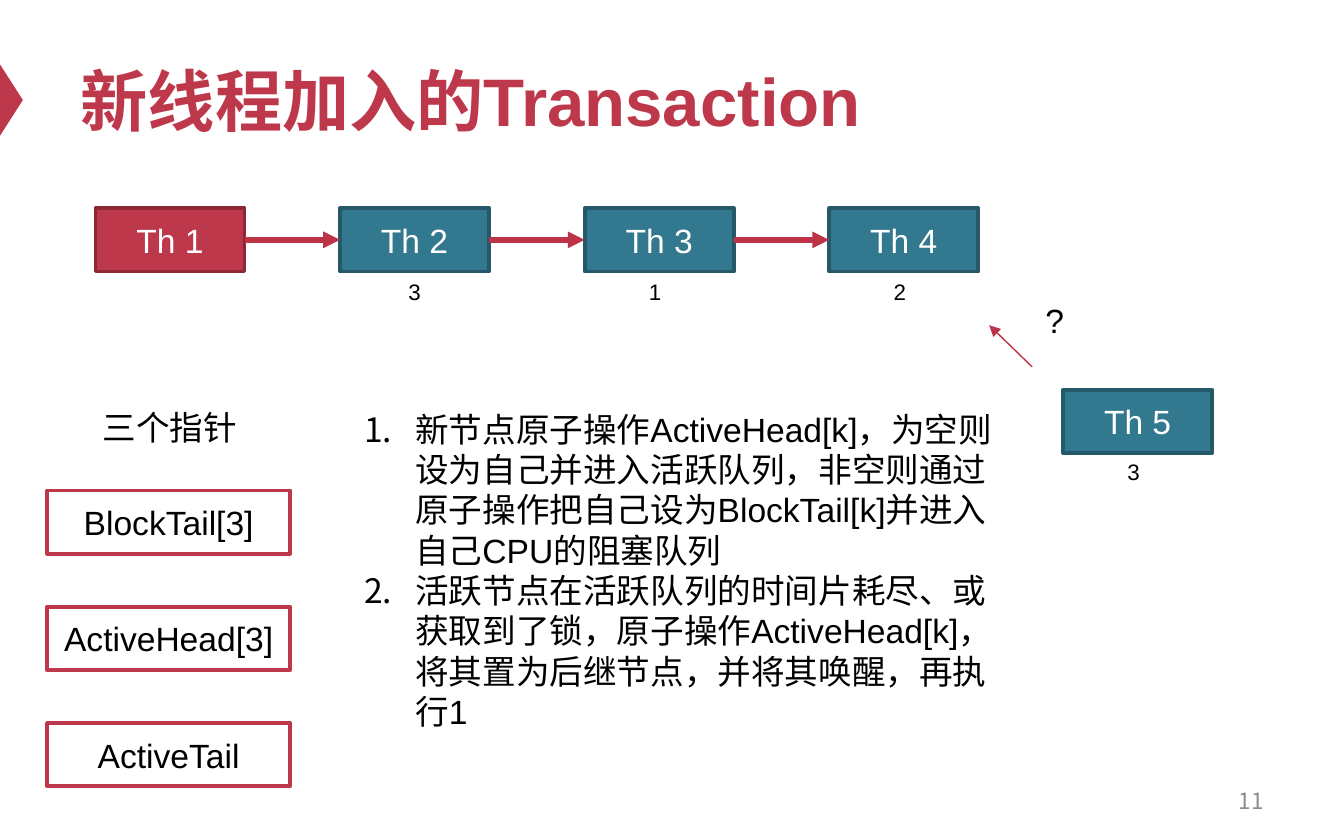
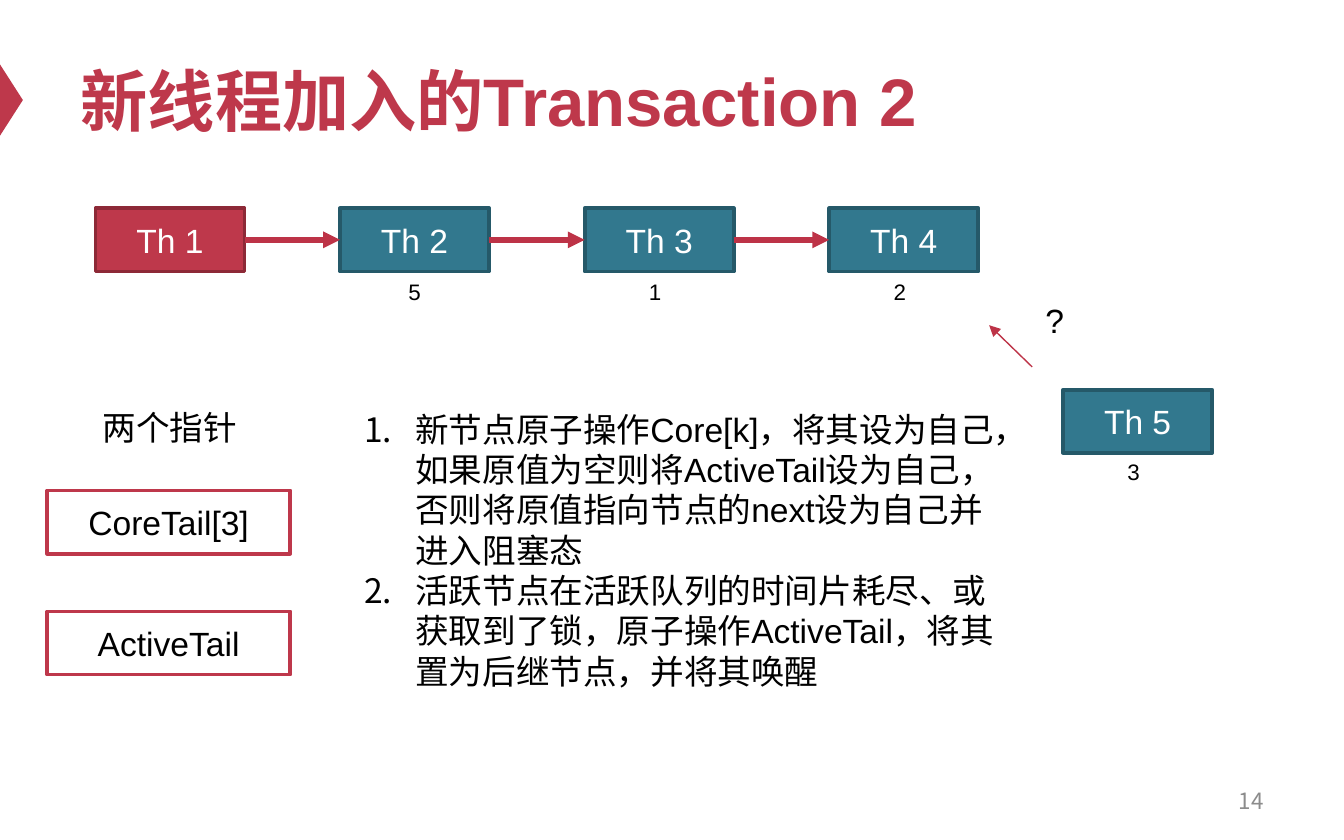
"""Build two slides on how a new thread joins a lock queue."""
from lxml.etree import SubElement
from pptx import Presentation
from pptx.dml.color import RGBColor
from pptx.enum.shapes import MSO_CONNECTOR, MSO_SHAPE
from pptx.enum.text import MSO_ANCHOR as ANCHOR, MSO_AUTO_SIZE as AUTO, PP_ALIGN as ALIGN
from pptx.oxml.ns import qn
from pptx.util import Inches, Pt

RED = RGBColor(0xBE, 0x38, 0x4B)
DARK_RED = RGBColor(0x8D, 0x29, 0x37)
ARROW_RED = RGBColor(0xBD, 0x33, 0x47)
TEAL = RGBColor(0x32, 0x78, 0x8E)
DARK_TEAL = RGBColor(0x25, 0x59, 0x69)
GRAY = RGBColor(0x8C, 0x8C, 0x8C)
WHITE = RGBColor(0xFF, 0xFF, 0xFF)
BLACK = RGBColor(0, 0, 0)
LATIN, CJK = "Arial", "Noto Sans CJK SC"

NODE_W, BOX_H = 1.11, 0.47
NODE_LEFT, NODE_TOP, NODE_STEP = 0.71, 1.55, 1.82
COUNT_LEFTS = (2.73, 4.52, 6.34)
POINTER_LEFT, POINTER_TOP, POINTER_W = 0.35, 3.65, 1.81


def place(sp, left, top, width, height):
    """Move and size a shape, in inches."""
    sp.left, sp.top = Inches(left), Inches(top)
    sp.width, sp.height = Inches(width), Inches(height)


def style(tf, size, color, align, anchor=ANCHOR.TOP, bold=False, font=LATIN):
    """Format all text in a frame."""
    tf.word_wrap = True
    tf.vertical_anchor = anchor
    for p in tf.paragraphs:
        p.alignment = align
        for r in p.runs:
            r.font.size, r.font.bold, r.font.name = Pt(size), bold, font
            r.font.color.rgb = color
            SubElement(r._r.get_or_add_rPr(), qn("a:ea"), typeface=CJK)


def add_text(s, text, box, size=18, color=BLACK, align=ALIGN.CENTER, **options):
    """Add a text box."""
    sp = s.shapes.add_textbox(*map(Inches, box))
    sp.text_frame.text = text
    style(sp.text_frame, size, color, align, **options)


def add_box(s, text, left, top, width, fill, line, color):
    """Add a labelled rectangle."""
    sp = s.shapes.add_shape(MSO_SHAPE.RECTANGLE, *map(Inches, (left, top, width, BOX_H)))
    sp.shadow.inherit = False
    sp.fill.solid()
    sp.fill.fore_color.rgb = fill
    sp.line.color.rgb, sp.line.width = line, Pt(2)
    sp.text_frame.text = text
    style(sp.text_frame, 18, color, ALIGN.CENTER, ANCHOR.MIDDLE)
    return sp


def add_node(s, number, left, top=NODE_TOP):
    """Add a thread node, red for the lock holder."""
    fill, line = (RED, DARK_RED) if number == 1 else (TEAL, DARK_TEAL)
    return add_box(s, f"Th {number}", left, top, NODE_W, fill, line, WHITE)


def add_count(s, text, left, top=2.02):
    """Add the small number under a node."""
    add_text(s, text, (left, top, 0.71, 0.3), size=12)


def add_arrow(s, start, end, width):
    """Add a straight arrow between two points."""
    cx = s.shapes.add_connector(MSO_CONNECTOR.STRAIGHT, *map(Inches, start + end))
    cx.line.color.rgb, cx.line.width = ARROW_RED, Pt(width)
    SubElement(cx.line._get_or_add_ln(), qn("a:tailEnd"), type="triangle")
    SubElement(cx._element.spPr, qn("a:effectLst"))
    return cx


def add_queue(s, counts):
    """Add the linked queue and the new thread that wants to join."""
    mid = NODE_TOP + BOX_H / 2
    previous = None
    for i in range(4):
        left = NODE_LEFT + i * NODE_STEP
        node = add_node(s, i + 1, left)
        if previous:
            cx = add_arrow(s, (left - NODE_STEP + NODE_W, mid), (left, mid), 3)
            cx.begin_connect(previous, 3)
            cx.end_connect(node, 1)
        previous = node
    for count, left in zip(counts, COUNT_LEFTS):
        add_count(s, count, left)
    add_node(s, 5, 7.91, 2.9)
    add_count(s, "3", 8.08, 3.36)
    add_arrow(s, (7.68, 2.73), (7.36, 2.42), 0.75)
    add_text(s, "?", (7.68, 2.18, 0.55, 0.4), align=ALIGN.LEFT)


def add_pointers(s, heading, names, step):
    """Add the pointer heading and its column of boxes."""
    add_text(s, heading, (0.55, 2.98, 1.43, 0.4))
    for i, name in enumerate(names):
        add_box(s, name, POINTER_LEFT, POINTER_TOP + i * step, POINTER_W, WHITE, RED, BLACK)


def fill_steps(s, steps, height):
    """Fill the body placeholder with a numbered list."""
    sp = s.placeholders[1]
    place(sp, 2.61, 2.99, 4.91, height)
    tf = sp.text_frame
    tf.text = "\n".join(steps)
    tf.auto_size = AUTO.NONE
    style(tf, 18, BLACK, ALIGN.LEFT)
    for p in tf.paragraphs:
        p.space_before = Pt(0)
        pPr = p._p.get_or_add_pPr()
        pPr.set("marL", str(Inches(0.38)))
        pPr.set("indent", str(-Inches(0.38)))
        SubElement(pPr, qn("a:buFont"), typeface=CJK)
        SubElement(pPr, qn("a:buAutoNum"), type="arabicPeriod")


def add_base(prs, title, number):
    """Add a slide with its title, edge marker and page number."""
    s = prs.slides.add_slide(prs.slide_layouts[1])
    marker = s.shapes.add_shape(MSO_SHAPE.ISOSCELES_TRIANGLE,
                                *map(Inches, (-0.18, 0.66, 0.53, 0.17)))
    marker.rotation = 90
    marker.shadow.inherit = False
    marker.fill.solid()
    marker.fill.fore_color.rgb = RED
    marker.line.fill.background()
    place(s.shapes.title, 0.5, 0.25, 9, 0.98)
    tf = s.shapes.title.text_frame
    tf.text = title
    tf.auto_size = AUTO.NONE
    style(tf, 36, RED, ALIGN.LEFT, ANCHOR.MIDDLE, bold=True)
    add_text(s, number, (7.17, 5.79, 2.33, 0.33), 12, GRAY, ALIGN.RIGHT,
             anchor=ANCHOR.MIDDLE, font=CJK)
    return s


def main():
    """Build and save the slides."""
    prs = Presentation()
    prs.slide_width, prs.slide_height = Inches(10), Inches(6.25)

    s = add_base(prs, "新线程加入的Transaction", "11")
    add_queue(s, "312")
    add_pointers(s, "三个指针", ("BlockTail[3]", "ActiveHead[3]", "ActiveTail"), 0.865)
    fill_steps(s, (
        "新节点原子操作ActiveHead[k]，为空则设为自己并进入活跃队列，"
        "非空则通过原子操作把自己设为BlockTail[k]并进入自己CPU的阻塞队列",
        "活跃节点在活跃队列的时间片耗尽、或获取到了锁，"
        "原子操作ActiveHead[k]，将其置为后继节点，并将其唤醒，再执行1"), 2.52)

    s = add_base(prs, "新线程加入的Transaction 2", "14")
    add_queue(s, "512")
    add_pointers(s, "两个指针", ("CoreTail[3]", "ActiveTail"), 0.9)
    fill_steps(s, (
        "新节点原子操作Core[k]，将其设为自己，如果原值为空则将ActiveTail设为自己，"
        "否则将原值指向节点的next设为自己并进入阻塞态",
        "活跃节点在活跃队列的时间片耗尽、或获取到了锁，"
        "原子操作ActiveTail，将其置为后继节点，并将其唤醒"), 2.22)

    prs.save("out.pptx")


if __name__ == "__main__":
    main()
